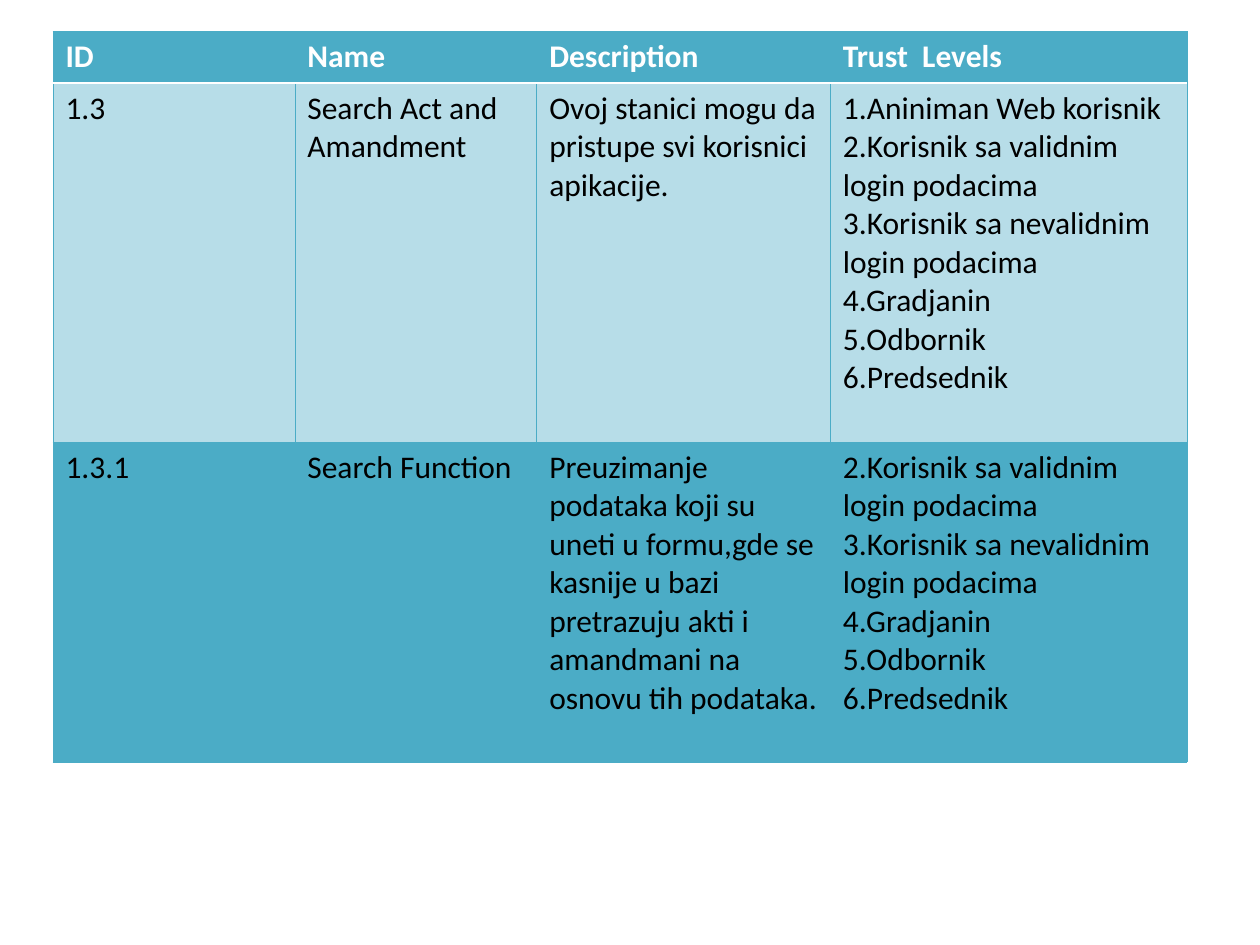
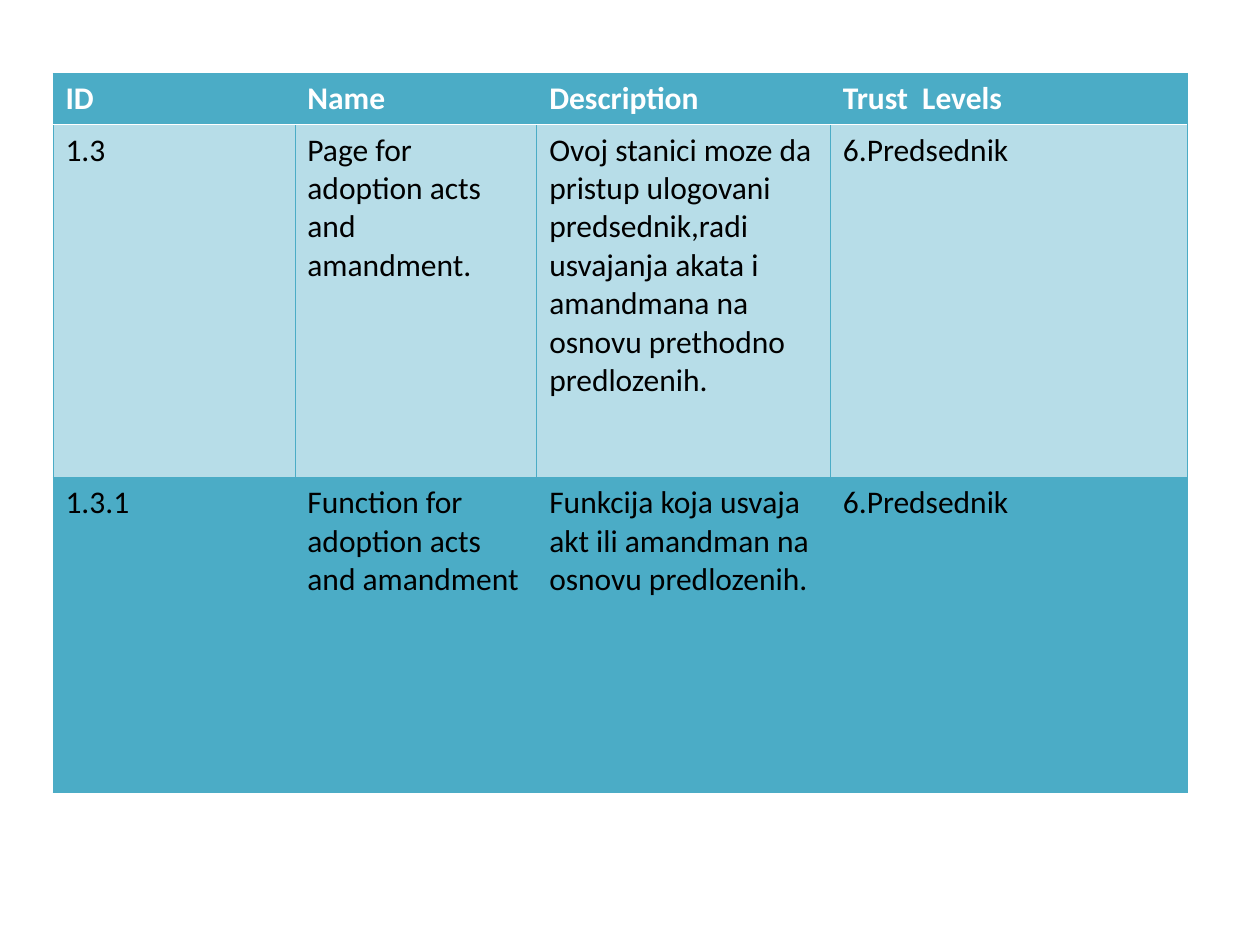
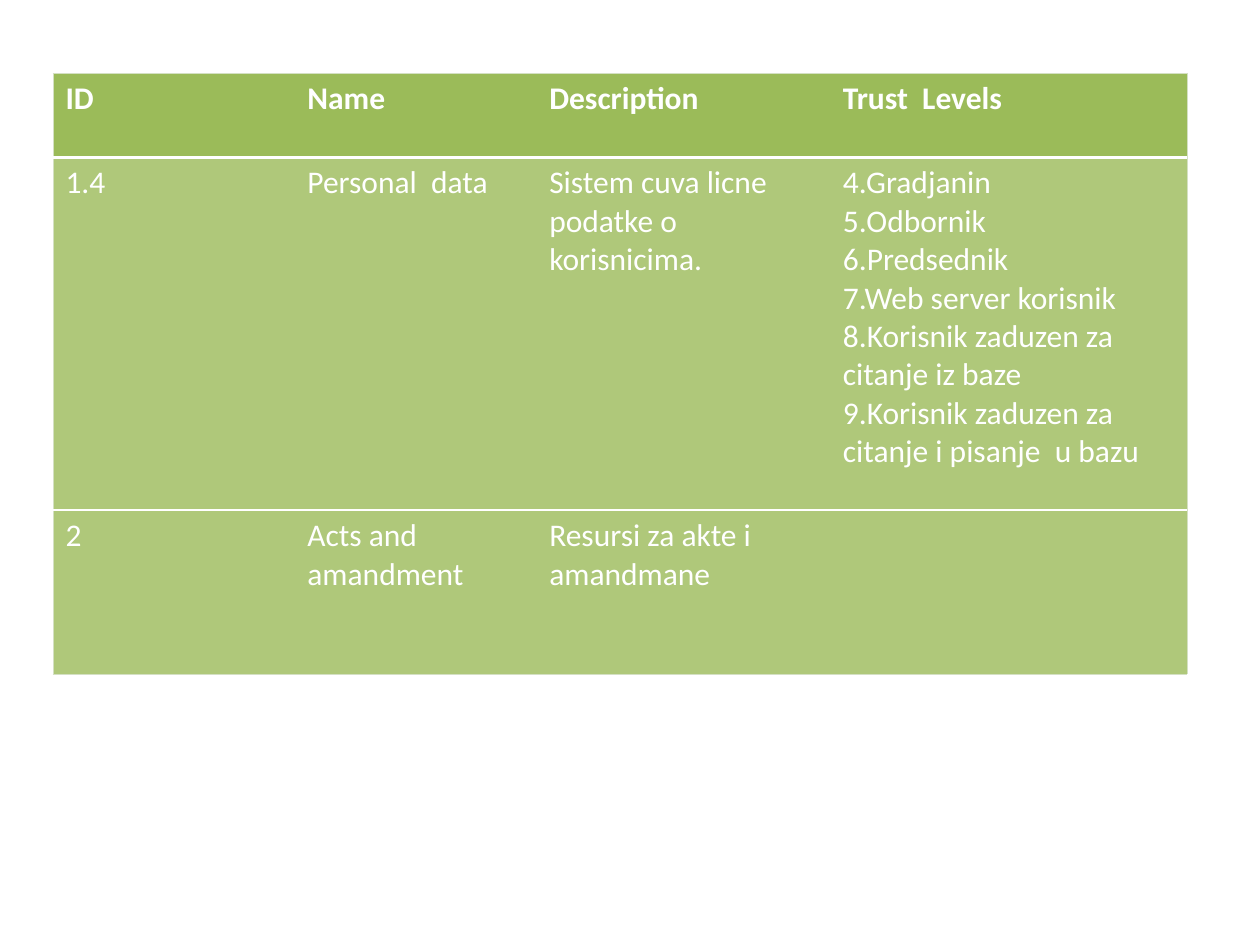
"""Builds three slides of trust level tables."""
from dataclasses import dataclass
from typing import Optional

from lxml import etree
from pptx import Presentation
from pptx.dml.color import RGBColor
from pptx.oxml import ns
from pptx.util import Inches, Pt

WHITE = RGBColor(0xFF, 0xFF, 0xFF)
BLACK = RGBColor(0x00, 0x00, 0x00)
TEAL = RGBColor(0x4B, 0xAC, 0xC6)
PALE_TEAL = RGBColor(0xB7, 0xDD, 0xE8)
GREEN = RGBColor(0x9B, 0xBB, 0x59)
SOFT_GREEN = RGBColor(0xAF, 0xC8, 0x7A)
PALE_GREEN = RGBColor(0xD4, 0xE0, 0xC3)

FONT = "Calibri"
FONT_SIZE = Pt(18)
TABLE_LEFT = Inches(0.42)
COLUMN_WIDTHS = [Inches(width) for width in (1.92, 1.92, 2.33, 2.83)]
HEADER = ("ID", "Name", "Description", "Trust  Levels")

ANONYMOUS = "1.Aniniman Web korisnik"
LOGGED_IN_LEVELS = ("4.Gradjanin", "5.Odbornik", "6.Predsednik")
FORM_LEVELS = (
    "2.Korisnik sa validnim login podacima",
    "3.Korisnik sa nevalidnim login podacima",
    *LOGGED_IN_LEVELS,
)
SERVER_LEVELS = (
    "7.Web server korisnik",
    "8.Korisnik zaduzen za citanje iz baze",
    "9.Korisnik zaduzen za citanje i pisanje  u bazu",
)


@dataclass(frozen=True)
class Border:
    """Colour and width in points of a cell edge."""

    color: RGBColor
    width: float


@dataclass(frozen=True)
class TableTheme:
    """Row fills, body text colour and edges of a table."""

    row_fills: tuple[RGBColor, ...]
    body_color: RGBColor
    outline: Border
    column_rule: Optional[Border]
    row_rules: tuple[Border, ...]


@dataclass(frozen=True)
class TrustTable:
    """Place, theme and body rows of one slide's table."""

    theme: TableTheme
    top: float
    row_heights: tuple[float, ...]
    body: tuple[tuple[str, ...], ...]


TEAL_LINE = Border(TEAL, 0.34)
WHITE_RULE = Border(WHITE, 1.47)
TEAL_THEME = TableTheme(
    (TEAL, PALE_TEAL, TEAL), BLACK, TEAL_LINE, TEAL_LINE,
    (Border(WHITE, 0.96), TEAL_LINE),
)
GREEN_THEME = TableTheme(
    (GREEN, SOFT_GREEN, SOFT_GREEN), WHITE, Border(PALE_GREEN, 0.34), None,
    (WHITE_RULE, WHITE_RULE),
)

TRUST_TABLES = (
    TrustTable(TEAL_THEME, 0.25, (0.41, 2.85, 2.54), (
        ("1.3", "Search Act and Amandment",
         "Ovoj stanici mogu da pristupe svi korisnici apikacije.",
         "\n".join((ANONYMOUS, *FORM_LEVELS))),
        ("1.3.1", "Search Function",
         "Preuzimanje podataka koji su uneti u formu,gde se kasnije u bazi "
         "pretrazuju akti i amandmani na osnovu tih podataka.",
         "\n".join(FORM_LEVELS)),
    )),
    TrustTable(TEAL_THEME, 0.58, (0.41, 2.8, 2.5), (
        ("1.3", "Page for adoption acts and amandment.",
         "Ovoj stanici moze da pristup ulogovani  predsednik,radi usvajanja "
         "akata i amandmana na osnovu prethodno predlozenih.",
         "6.Predsednik"),
        ("1.3.1", "Function for adoption acts and amandment",
         "Funkcija koja usvaja akt ili amandman na osnovu predlozenih.",
         "6.Predsednik"),
    )),
    TrustTable(GREEN_THEME, 0.58, (0.67, 2.8, 1.3), (
        ("1.4", "Personal  data", "Sistem cuva licne podatke o korisnicima.",
         "\n".join((*LOGGED_IN_LEVELS, *SERVER_LEVELS))),
        ("2", "Acts and amandment", "Resursi za akte i amandmane", ""),
    )),
)


def add_border(cell, side: str, border: Optional[Border]) -> None:
    """Append one edge (L, R, T or B) to a cell, or an invisible one."""
    properties = cell._tc.get_or_add_tcPr()
    line = etree.SubElement(properties, ns.qn(f"a:ln{side}"))
    if border is None:
        etree.SubElement(line, ns.qn("a:noFill"))
        return
    line.set("w", str(int(Pt(border.width))))
    fill = etree.SubElement(line, ns.qn("a:solidFill"))
    etree.SubElement(fill, ns.qn("a:srgbClr"), val=str(border.color))


def style_cell(cell, theme: TableTheme, row: int, column: int) -> None:
    """Give a cell the edges, fill and font of its place in the table."""
    column_edges = [theme.outline, *[theme.column_rule] * (len(HEADER) - 1), theme.outline]
    row_edges = [theme.outline, *theme.row_rules, theme.outline]
    add_border(cell, "L", column_edges[column])
    add_border(cell, "R", column_edges[column + 1])
    add_border(cell, "T", row_edges[row])
    add_border(cell, "B", row_edges[row + 1])
    cell.fill.solid()
    cell.fill.fore_color.rgb = theme.row_fills[row]
    for paragraph in cell.text_frame.paragraphs:
        paragraph.font.name = FONT
        paragraph.font.size = FONT_SIZE
        paragraph.font.bold = row == 0
        paragraph.font.color.rgb = WHITE if row == 0 else theme.body_color


def add_trust_table(slide, trust_table: TrustTable) -> None:
    """Draw a trust level table on a slide."""
    rows = (HEADER, *trust_table.body)
    heights = [Inches(height) for height in trust_table.row_heights]
    table = slide.shapes.add_table(
        len(rows), len(HEADER), TABLE_LEFT, Inches(trust_table.top),
        sum(COLUMN_WIDTHS), sum(heights),
    ).table
    table.horz_banding = False
    for column, width in zip(table.columns, COLUMN_WIDTHS):
        column.width = width
    for row_index, (texts, height) in enumerate(zip(rows, heights)):
        table.rows[row_index].height = height
        for column_index, cell_text in enumerate(texts):
            cell = table.cell(row_index, column_index)
            cell.text = cell_text
            style_cell(cell, trust_table.theme, row_index, column_index)


def main() -> None:
    """Build and save the presentation."""
    presentation = Presentation()
    presentation.slide_width = Inches(10)
    presentation.slide_height = Inches(7.5)
    for trust_table in TRUST_TABLES:
        slide = presentation.slides.add_slide(presentation.slide_layouts[6])
        add_trust_table(slide, trust_table)
    presentation.save("out.pptx")


if __name__ == "__main__":
    main()
